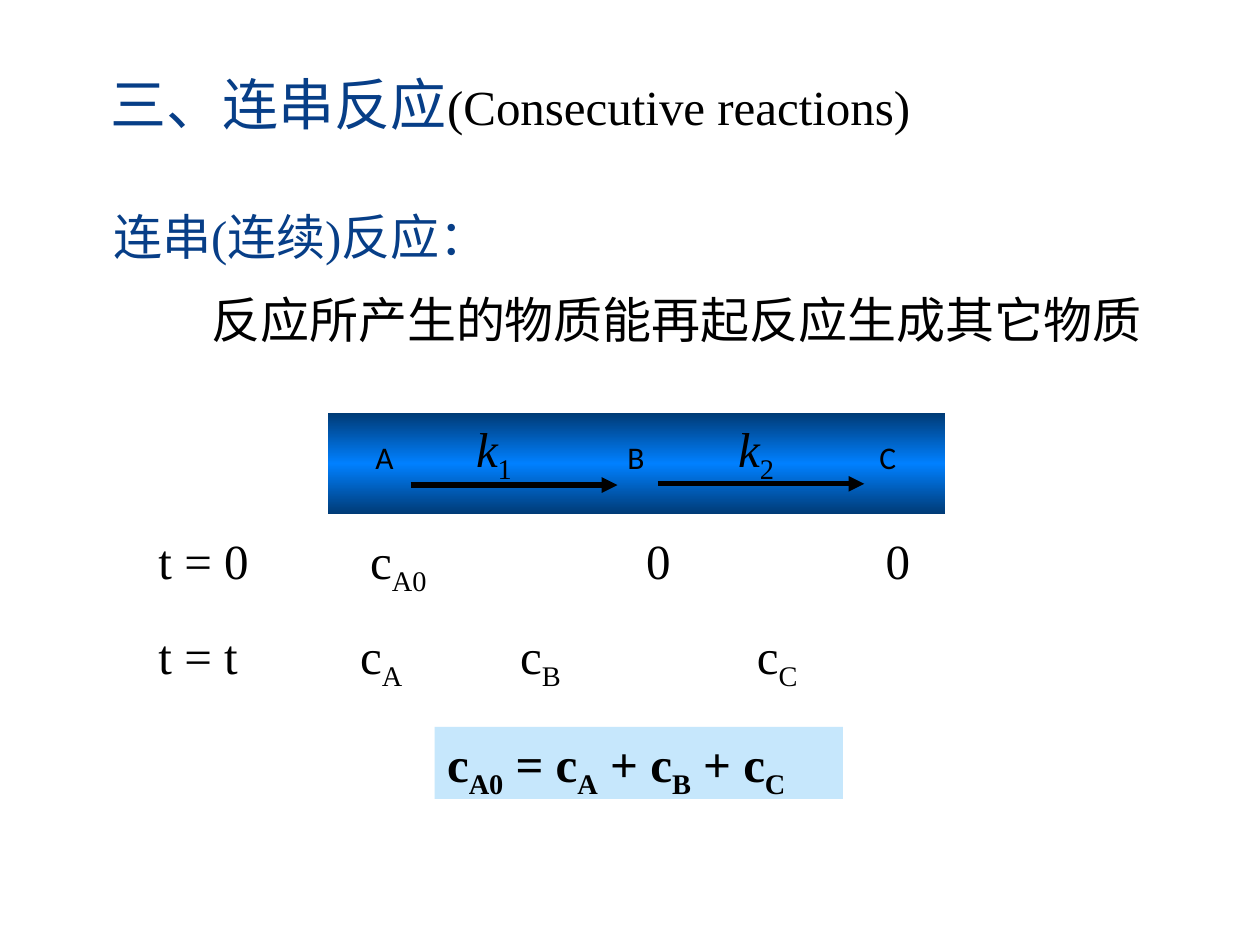
from copy import deepcopy

from pptx import Presentation
from pptx.dml.color import RGBColor
from pptx.enum.shapes import MSO_CONNECTOR as CONN, MSO_SHAPE as SHAPE
from pptx.oxml.ns import qn
from pptx.oxml.xmlchemy import OxmlElement
from pptx.util import Inches, Pt

BLACK, NAVY, PALE = "000000", "073E87", "C6E7FC"
BAR_DARK, BAR_LIGHT = "003B76", "0080FF"
SERIF, SANS = "Times New Roman", "Calibri"


def rgb(value):
    return RGBColor.from_string(value)


def add_run(p, text, sub=False, color=BLACK, **formats):
    r = p.add_run()
    r.text = text
    for name, value in {"name": SERIF, "size": Pt(28), **formats}.items():
        setattr(r.font, name, value)
    r.font.color.rgb = rgb(color)
    if sub:
        r.font._element.set("baseline", "-25000")


def add_formula(p, text, **formats):
    """Write text in which each part between underscores is a subscript."""
    for i, part in enumerate(text.split("_")):
        if part:
            add_run(p, part, sub=i % 2 == 1, **formats)


def add_tabs(p, stops):
    tabs = OxmlElement("a:tabLst")
    for stop in stops:
        tab = OxmlElement("a:tab")
        tab.set("pos", str(Inches(stop)))
        tab.set("algn", "l")
        tabs.append(tab)
    p._p.get_or_add_pPr().append(tabs)


def add_text(shapes, x, y, w, h):
    tf = shapes.add_textbox(*map(Inches, (x, y, w, h))).text_frame
    tf.word_wrap = True
    return tf


def add_rect(shapes, x, y, w, h):
    sp = shapes.add_shape(SHAPE.RECTANGLE, *map(Inches, (x, y, w, h)))
    sp.shadow.inherit = False
    sp.line.fill.background()
    return sp


def add_title(shapes, x, y, w, h):
    p = add_text(shapes, x, y, w, h).paragraphs[0]
    add_run(p, "三、连串反应", color=NAVY, size=Pt(32))
    add_run(p, "(Consecutive reactions)")


def add_definition(shapes, x, y, w, h):
    tf = add_text(shapes, x, y, w, h)
    add_run(tf.paragraphs[0], "连串(连续)反应：", color=NAVY)
    p = tf.add_paragraph()
    p.space_before = Pt(14)
    p._p.get_or_add_pPr().set("indent", str(Inches(0.78)))
    add_run(p, "反应所产生的物质能再起反应生成其它物质")


def add_arrow(shapes, x, y, length):
    line = shapes.add_connector(CONN.STRAIGHT, *map(Inches, (x, y, x + length, y)))
    line.line.width = Pt(3)
    line.line.color.rgb = rgb(BLACK)
    tail = OxmlElement("a:tailEnd")
    tail.set("type", "triangle")
    line.line._get_or_add_ln().append(tail)
    line._element.spPr.append(OxmlElement("a:effectLst"))


def fill_bar(sp):
    """Shade the shape from dark to light and back, top to bottom."""
    sp.fill.gradient()
    stops = sp._element.spPr.find(qn("a:gradFill")).find(qn("a:gsLst"))
    stops.append(deepcopy(stops[0]))
    colors = (BAR_DARK, BAR_LIGHT, BAR_DARK)
    for i, (stop, color) in enumerate(zip(sp.fill.gradient_stops, colors)):
        stop.position = i / 2
        stop.color.rgb = rgb(color)
    sp.fill.gradient_angle = 90


def add_reaction(slide, x, y, w, h):
    shapes = slide.shapes.add_group_shape().shapes
    bar = add_rect(shapes, x, y, w, h)
    fill_bar(bar)
    tf = bar.text_frame
    tf.margin_left = Inches(0.38)
    tf.vertical_anchor = 1
    p = tf.paragraphs[0]
    p.alignment = 1
    add_tabs(p, (2, 4))
    p.line_spacing = 1.5
    add_run(p, "A\tB\tC", name=SANS, size=Pt(18))
    for dx, dy in ((0.66, 0.57), (2.62, 0.56)):
        add_arrow(shapes, x + dx, y + dy, 1.64)
    for dx, number in ((1.08, "1"), (3.16, "2")):
        p = add_text(shapes, x + dx, y - 0.01, 0.96, 0.57).paragraphs[0]
        add_run(p, "k", italic=True)
        add_run(p, number, sub=True)


def add_concentrations(shapes, x, y, w, h):
    rows = (("t = 0\tc_A0_\t0\t0", (1.68, 3.87, 5.77)),
            ("t = t\tc_A_\tc_B_\tc_C_", (1.6, 2.87, 4.75)))
    tf = add_text(shapes, x, y, w, h)
    for i, (text, stops) in enumerate(rows):
        p = tf.add_paragraph() if i else tf.paragraphs[0]
        add_tabs(p, stops)
        if i:
            p.space_before = Pt(16)
        add_formula(p, text)


def add_balance(shapes, x, y, w, h):
    sp = add_rect(shapes, x, y, w, h)
    sp.fill.solid()
    sp.fill.fore_color.rgb = rgb(PALE)
    sp.text_frame.vertical_anchor = 1
    p = sp.text_frame.paragraphs[0]
    p.alignment = 1
    add_formula(p, "c_A0_ = c_A_ + c_B_ + c_C_", bold=True)


def main():
    prs = Presentation()
    prs.slide_width, prs.slide_height = Inches(10), Inches(7.5)
    s = prs.slides.add_slide(prs.slide_layouts[6])
    add_title(s.shapes, 0.78, 0.5, 7.81, 0.63)
    add_definition(s.shapes, 0.8, 1.59, 8.64, 1.27)
    add_reaction(s, 2.6, 3.28, 4.9, 0.8)
    add_concentrations(s.shapes, 1.16, 4.16, 6.46, 1.27)
    add_balance(s.shapes, 3.45, 5.77, 3.24, 0.57)
    prs.save("out.pptx")


if __name__ == "__main__":
    main()
